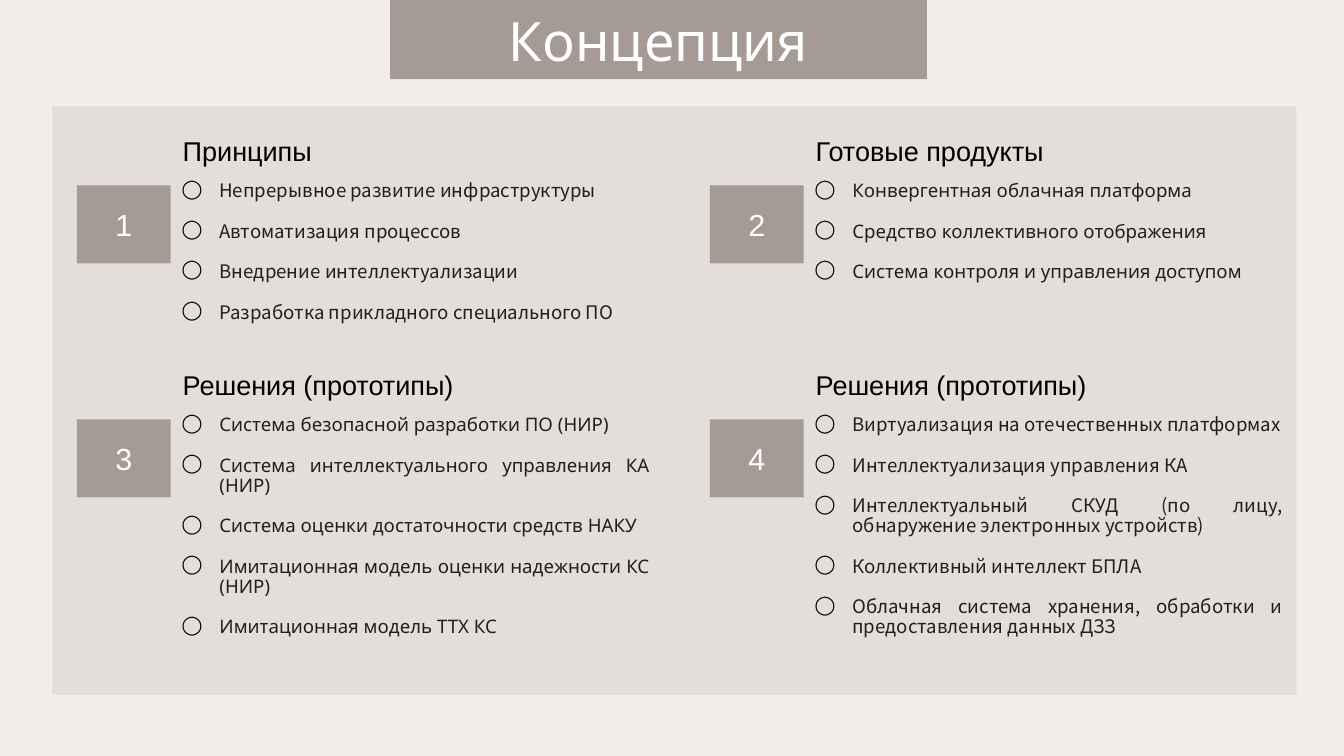
from itertools import product

from lxml.etree import SubElement
from pptx import Presentation
from pptx.dml.color import RGBColor
from pptx.enum.shapes import MSO_SHAPE as Shape
from pptx.enum.text import MSO_ANCHOR as Anchor, MSO_AUTO_SIZE as AutoSize, PP_ALIGN as Align
from pptx.oxml.ns import qn
from pptx.util import Inches, Pt

PAGE_FILL = RGBColor(0xF2, 0xED, 0xEB)
PANEL_FILL = RGBColor(0xE3, 0xDE, 0xDA)
ACCENT = RGBColor(0xA6, 0x9A, 0x94)
WHITE = RGBColor(0xFF, 0xFF, 0xFF)
BLACK = RGBColor(0, 0, 0)
INK = RGBColor(0x1F, 0x1F, 0x1F)

# Section grid: lefts of the columns, tops of the rows
COLUMNS = (0.63, 5.82)
ROWS = (1.05, 2.97)
SECTION_WIDTH = 4.81
INDENT = 0.31

# Heading, font of the list, list height, items
SECTIONS = [
    ("Принципы", "Noto Sans CJK JP", 1.35, [
        "Непрерывное развитие инфраструктуры",
        "Автоматизация процессов",
        "Внедрение интеллектуализации",
        "Разработка прикладного специального ПО"]),
    ("Готовые продукты", "Noto Sans", 1, [
        "Конвергентная облачная платформа",
        "Средство коллективного отображения",
        "Система контроля и управления доступом"]),
    ("Решения (прототипы)", "Noto Sans", 2.06, [
        "Система безопасной разработки ПО (НИР)",
        "Система интеллектуального управления КА (НИР)",
        "Система оценки достаточности средств НАКУ",
        "Имитационная модель оценки надежности КС (НИР)",
        "Имитационная модель ТТХ КС"]),
    ("Решения (прототипы)", "Noto Sans CJK JP", 2.06, [
        "Виртуализация на отечественных платформах",
        "Интеллектуализация управления КА",
        "Интеллектуальный СКУД (по лицу, обнаружение электронных устройств)",
        "Коллективный интеллект БПЛА",
        "Облачная система хранения, обработки и предоставления данных ДЗЗ"]),
]


def set_font(para, name, size, color):
    para.font.name = name
    para.font.size = Pt(size)
    para.font.color.rgb = color


def add_block(page, box, fill, text="", font="Arial", size=18):
    block = page.shapes.add_shape(Shape.RECTANGLE, *map(Inches, box))
    block.shadow.inherit = False
    block.fill.solid()
    block.fill.fore_color.rgb = fill
    block.line.fill.background()
    if text:
        block.text_frame.vertical_anchor = Anchor.MIDDLE
        para = block.text_frame.paragraphs[0]
        para.text = text
        para.alignment = Align.CENTER
        set_font(para, font, size, WHITE)


def add_text_frame(page, box):
    frame = page.shapes.add_textbox(*map(Inches, box)).text_frame
    frame.word_wrap = True
    return frame


def add_bullet(para):
    props = para._p.get_or_add_pPr()
    props.set("marL", str(Inches(INDENT)))
    props.set("indent", str(-Inches(INDENT)))
    color = SubElement(props, qn("a:buClr"))
    SubElement(color, qn("a:srgbClr"), val=str(BLACK))
    SubElement(props, qn("a:buChar"), char="◯")


def add_list(page, box, items, font):
    frame = add_text_frame(page, box)
    frame.auto_size = AutoSize.SHAPE_TO_FIT_TEXT
    frame.margin_left = frame.margin_right = Inches(0.11)
    frame.margin_top = frame.margin_bottom = Inches(0.06)
    for index, item in enumerate(items):
        para = frame.add_paragraph() if index else frame.paragraphs[0]
        para.text = item
        add_bullet(para)
        para.alignment = Align.JUSTIFY
        para.line_spacing = 0.9
        para.space_before = Pt(6 if index else 0)
        para.space_after = Pt(6)
        set_font(para, font, 11, INK)


def add_section(page, left, top, number, heading, font, list_height, items):
    # Number badge
    add_block(page, (left, top + 0.47, 0.77, 0.64), ACCENT, str(number))
    # Heading
    para = add_text_frame(page, (left + 0.77, top, 2.88, 0.32)).paragraphs[0]
    para.text = heading
    set_font(para, "Arial", 16, BLACK)
    # Bulleted list
    list_box = (left + 0.75, top + 0.38, SECTION_WIDTH - 0.75, list_height)
    add_list(page, list_box, items, font)


def main():
    deck = Presentation()
    deck.slide_width, deck.slide_height = Inches(11.02), Inches(6.2)
    page = deck.slides.add_slide(deck.slide_layouts[6])
    page.background.fill.solid()
    page.background.fill.fore_color.rgb = PAGE_FILL

    # Title banner and panel
    add_block(page, (3.2, 0, 4.4, 0.65), ACCENT, "Концепция", "Noto Sans", 32)
    add_block(page, (0.43, 0.87, 10.2, 4.83), PANEL_FILL)

    # Four numbered sections
    cells = product(ROWS, COLUMNS)
    for number, ((top, left), section) in enumerate(zip(cells, SECTIONS), 1):
        add_section(page, left, top, number, *section)

    deck.save("out.pptx")


if __name__ == "__main__":
    main()
